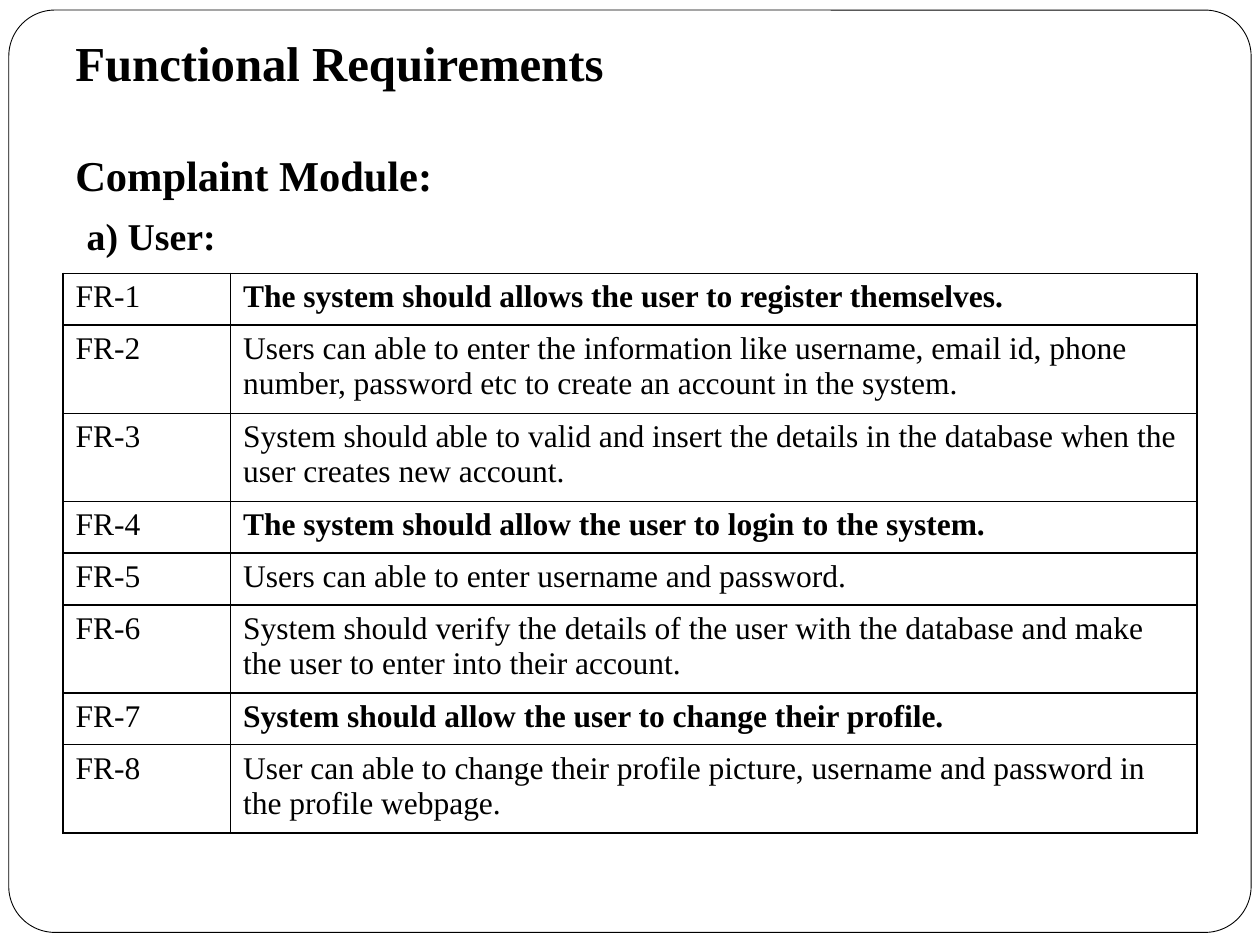
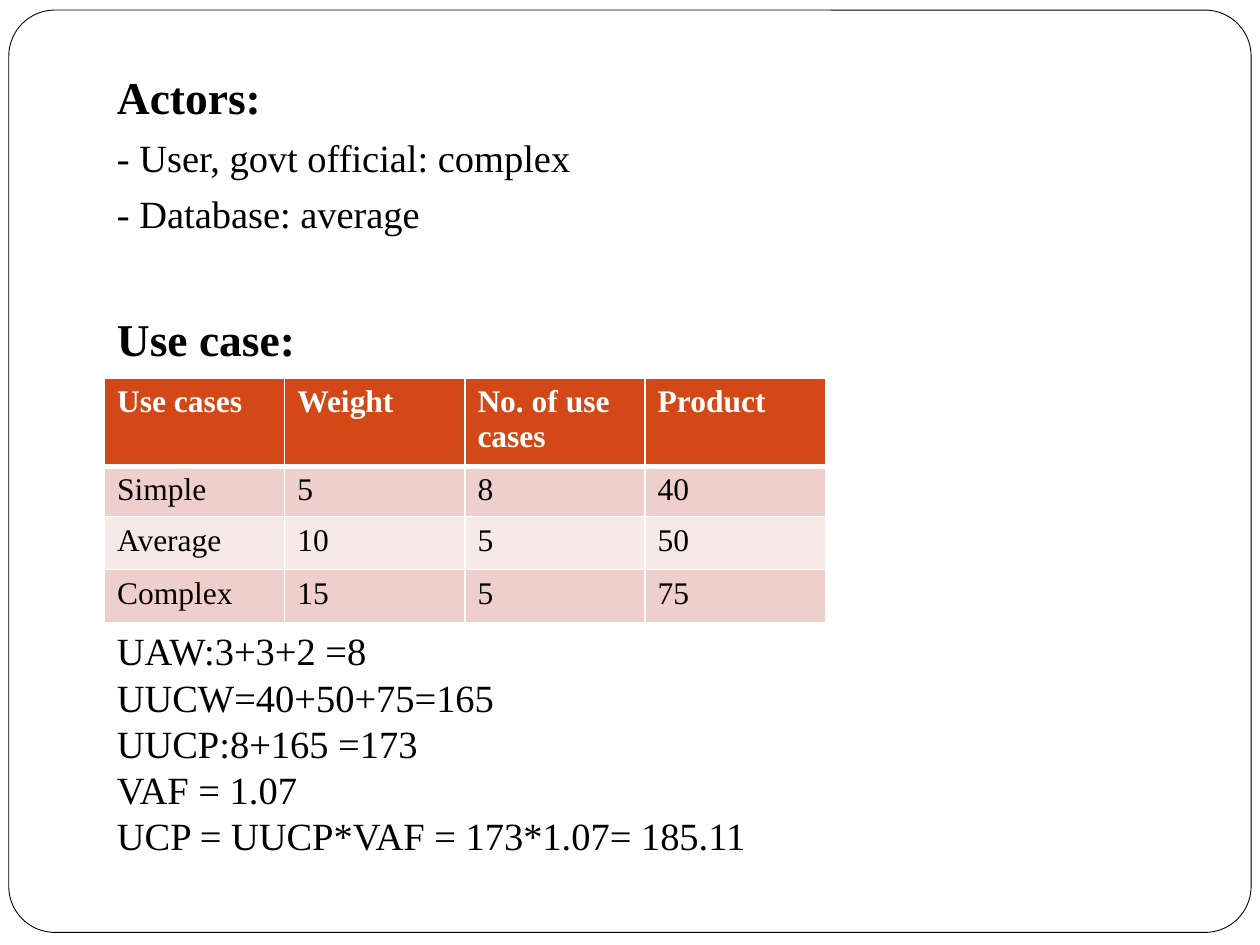
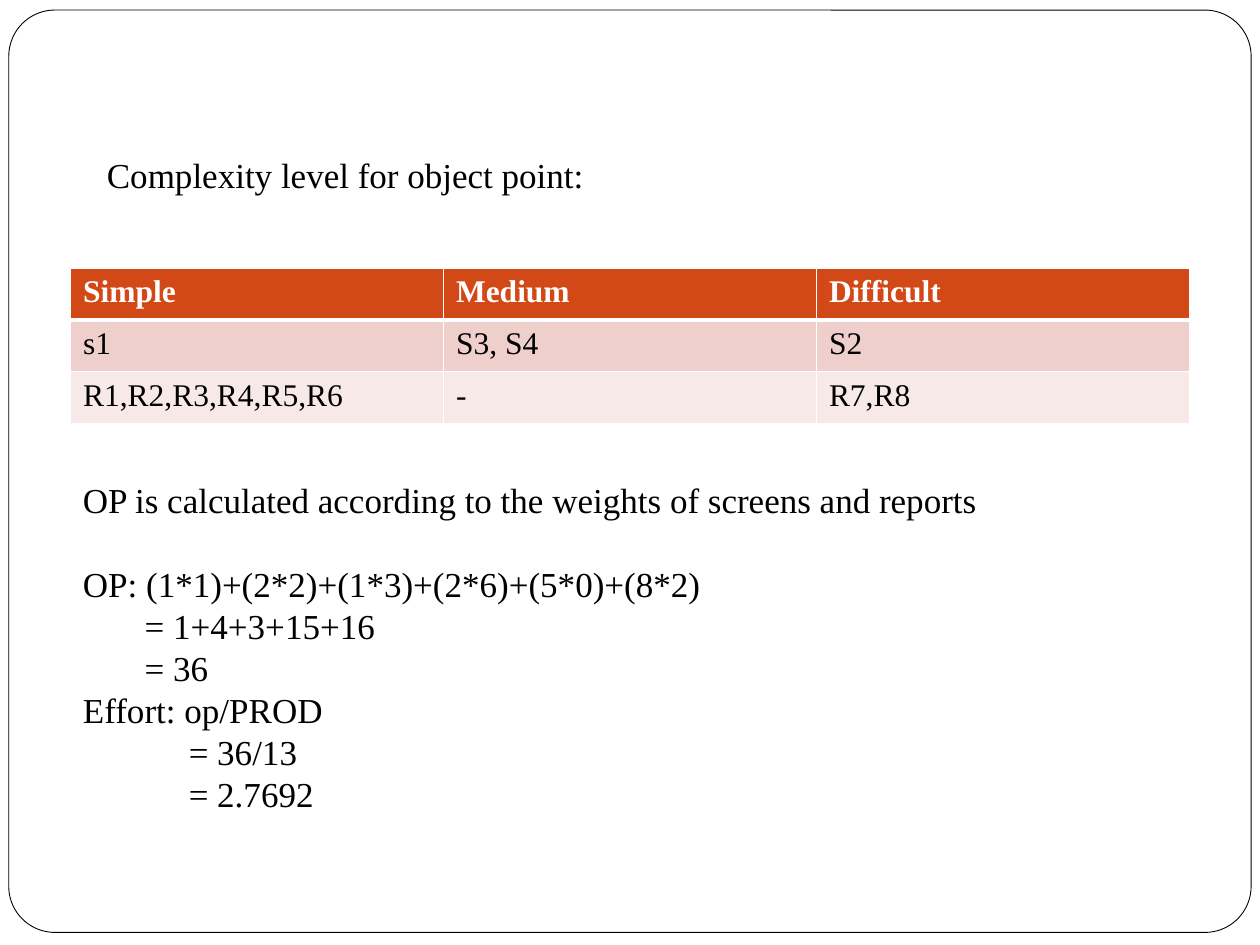
"""Build three slides on functional requirements, use case points and object points."""
from lxml.etree import SubElement
from pptx import Presentation
from pptx.dml.color import RGBColor
from pptx.enum.shapes import MSO_SHAPE as SHAPE
from pptx.enum.text import MSO_ANCHOR as ANCHOR
from pptx.oxml.ns import qn
from pptx.util import Inches, Pt

BLACK = RGBColor(0x00, 0x00, 0x00)
WHITE = RGBColor(0xFF, 0xFF, 0xFF)
ORANGE = RGBColor(0xD3, 0x48, 0x17)
BANDS = RGBColor(0xEF, 0xCF, 0xCC), RGBColor(0xF7, 0xE9, 0xE8)
FONT = "Times New Roman"
LEADING = 1.2

HEADING = [
    ("Functional Requirements", dict(size=27.9)),
    ("Complaint Module:", dict(size=24.3, before=33)),
    ("a) User:", dict(size=21.6, before=7.4, indent=0.09)),
]
REQUIREMENTS = [
    "The system should allows the user to register themselves.",
    "Users can able to enter the information like username, email id, phone number, "
    "password etc to create an account in the system.",
    "System should able to valid and insert the details in the database when the user "
    "creates new account.",
    "The system should allow the user to login to the system.",
    "Users can able to enter username and password.",
    "System should verify the details of the user with the database and make the user "
    "to enter into their account.",
    "System should allow the user to change their profile.",
    "User can able to change their profile picture, username and password in the "
    "profile webpage.",
]
MAIN_REQUIREMENTS = {1, 4, 7}

ACTORS = [
    ("Actors:", dict(size=26, bold=True)),
    ("- User, govt official: complex", dict(before=5.8)),
    ("- Database: average", dict(before=5.8)),
    ("Use case:", dict(size=26, bold=True, before=42.8)),
]
USE_CASES = [
    ["Use cases", "Weight", "No. of use cases", "Product"],
    ["Simple", "5", "8", "40"],
    ["Average", "10", "5", "50"],
    ["Complex", "15", "5", "75"],
]
USE_CASE_POINTS = [
    "UAW:3+3+2 =8",
    "UUCW=40+50+75=165",
    "UUCP:8+165 =173",
    "VAF = 1.07",
    "UCP = UUCP*VAF = 173*1.07= 185.11",
]

COMPLEXITY = [
    ["Simple", "Medium", "Difficult"],
    ["s1", "S3, S4", "S2"],
    ["R1,R2,R3,R4,R5,R6", "-", "R7,R8"],
]
OBJECT_POINTS = [
    "OP is calculated according to the weights of screens and reports",
    ("OP: (1*1)+(2*2)+(1*3)+(2*6)+(5*0)+(8*2)", dict(before=24)),
    ("= 1+4+3+15+16", dict(indent=0.49)),
    ("= 36", dict(indent=0.49)),
    "Effort: op/PROD",
    ("= 36/13", dict(indent=0.84)),
    ("= 2.7692", dict(indent=0.84)),
]


def write(p, text, size=18, bold=False, color=BLACK, before=0, indent=0, leading=None):
    """Put formatted text in a paragraph."""
    if indent:
        p._p.get_or_add_pPr().set("marL", str(Inches(indent)))
    if before:
        p.space_before = Pt(before)
    if leading:
        p.line_spacing = Pt(round(size * leading, 1))
    r = p.add_run()
    r.text = text
    r.font.name, r.font.size, r.font.bold = FONT, Pt(size), bold
    r.font.color.rgb = color


def add_text(slide, box, lines, anchor=ANCHOR.TOP, bottom=0.05, **fmt):
    """Add a text box with one paragraph for each line."""
    tf = slide.shapes.add_textbox(*map(Inches, box)).text_frame
    tf.word_wrap = True
    tf.vertical_anchor = anchor
    tf.margin_bottom = Inches(bottom)
    for i, line in enumerate(lines):
        text, own = (line, {}) if isinstance(line, str) else line
        p = tf.add_paragraph() if i else tf.paragraphs[0]
        write(p, text, leading=LEADING, **{**fmt, **own})


def set_borders(cell, color, **widths):
    """Draw the four borders of a cell, 1 pt unless a side says otherwise."""
    tc_pr = cell._tc.get_or_add_tcPr()
    for i, side in enumerate("LRTB"):
        ln = SubElement(tc_pr, qn(f"a:ln{side}"), w=str(Pt(widths.get(side, 1))))
        fill = SubElement(ln, qn("a:solidFill"))
        SubElement(fill, qn("a:srgbClr"), val=str(color))
        tc_pr.insert(i, ln)


def add_table(slide, left, top, widths, heights, rows):
    """Add an empty-styled table and yield each cell with its place and text."""
    box = left, top, sum(widths), sum(heights)
    table = slide.shapes.add_table(len(rows), len(widths), *map(Inches, box)).table
    table.first_row = table.horz_banding = False
    for column, width in zip(table.columns, widths):
        column.width = Inches(width)
    for i, (row, height) in enumerate(zip(rows, heights)):
        table.rows[i].height = Inches(height)
        for j, text in enumerate(row):
            yield i, j, table.cell(i, j), text


def add_banded_table(slide, *layout):
    """Add a table with an orange header and pink bands."""
    for i, j, cell, text in add_table(slide, *layout):
        header = i == 0
        cell.fill.solid()
        cell.fill.fore_color.rgb = ORANGE if header else BANDS[(i - 1) % 2]
        set_borders(cell, WHITE, T=3 if i == 1 else 1, B=3 if header else 1)
        write(cell.text_frame.paragraphs[0], text, bold=header,
              color=WHITE if header else BLACK)


def add_framed_slide(prs):
    """Add a blank slide with the rounded frame."""
    slide = prs.slides.add_slide(prs.slide_layouts[6])
    sp = slide.shapes.add_shape(SHAPE.ROUNDED_RECTANGLE,
                                *map(Inches, (0.07, 0.08, 9.86, 7.32)))
    sp.adjustments[0] = 0.05
    sp.shadow.inherit = False
    sp.fill.solid()
    sp.fill.fore_color.rgb = WHITE
    sp.line.color.rgb = BLACK
    sp.line.width = Pt(0.5)
    return slide


def add_requirements(prs):
    """Slide with the user requirements of the complaint module."""
    slide = add_framed_slide(prs)
    add_text(slide, (0.5, 0.55, 9, 1.62), HEADING, ANCHOR.BOTTOM, bottom=0.12, bold=True)
    rows = [(f"FR-{n}", text) for n, text in enumerate(REQUIREMENTS, 1)]
    heights = [0.41] * len(rows)
    for i, j, cell, text in add_table(slide, 0.5, 2.17, [1.33, 7.67], heights, rows):
        cell.fill.background()
        set_borders(cell, BLACK)
        write(cell.text_frame.paragraphs[0], text,
              bold=j == 1 and i + 1 in MAIN_REQUIREMENTS)


def add_use_cases(prs):
    """Slide with the use case point estimate."""
    slide = add_framed_slide(prs)
    add_text(slide, (0.83, 0.5, 7.33, 5), ACTORS, size=22)
    add_banded_table(slide, 0.83, 3, [1.43] * 4, [0.7, 0.26, 0.42, 0.42], USE_CASES)
    add_text(slide, (0.83, 4.93, 7, 1.95), USE_CASE_POINTS, size=22)


def add_object_points(prs):
    """Slide with the object point estimate."""
    slide = add_framed_slide(prs)
    add_text(slide, (0.75, 1.17, 9.2, 0.77), ["Complexity level for object point:"], size=20)
    add_banded_table(slide, 0.56, 2.13, [2.96] * 3, [0.41] * 3, COMPLEXITY)
    add_text(slide, (0.56, 3.75, 9.4, 3.13), OBJECT_POINTS, size=20)


def main():
    """Build and save the slides."""
    prs = Presentation()
    prs.slide_width, prs.slide_height = Inches(10), Inches(7.5)
    add_requirements(prs)
    add_use_cases(prs)
    add_object_points(prs)
    prs.save("out.pptx")


if __name__ == "__main__":
    main()
